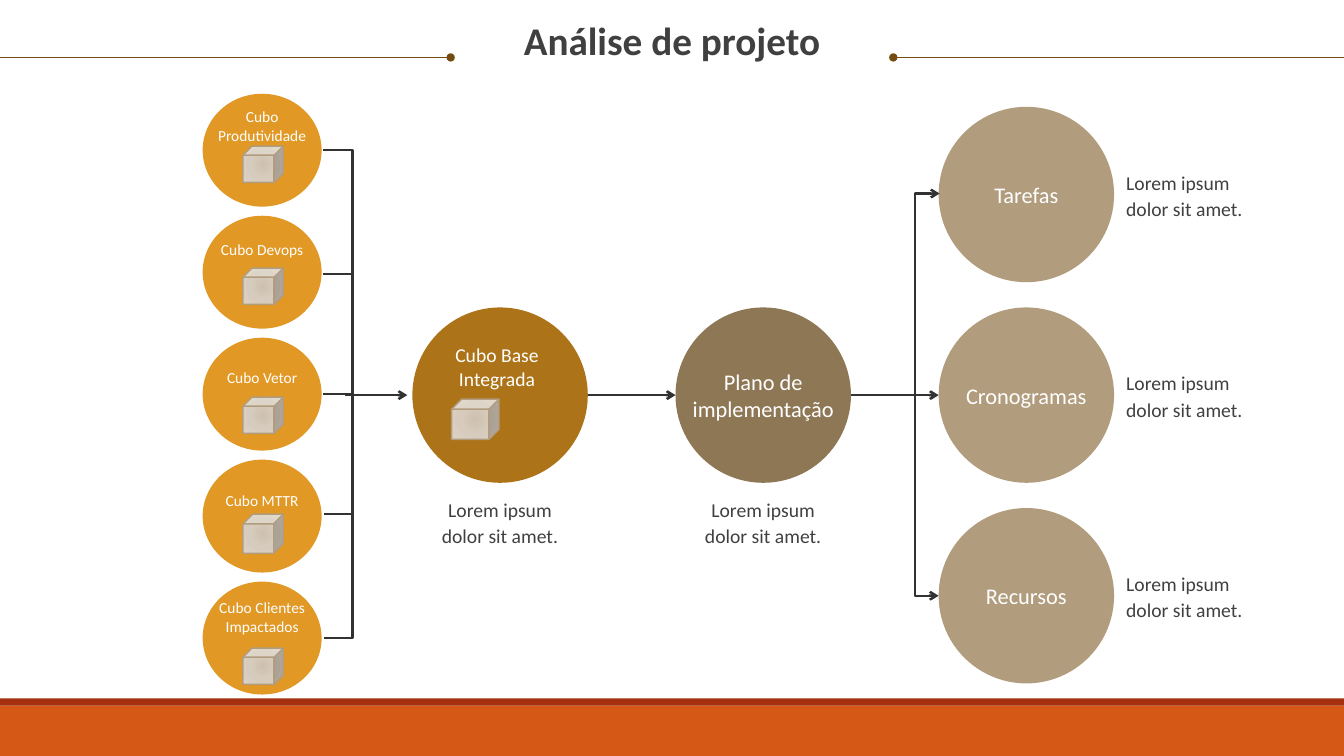
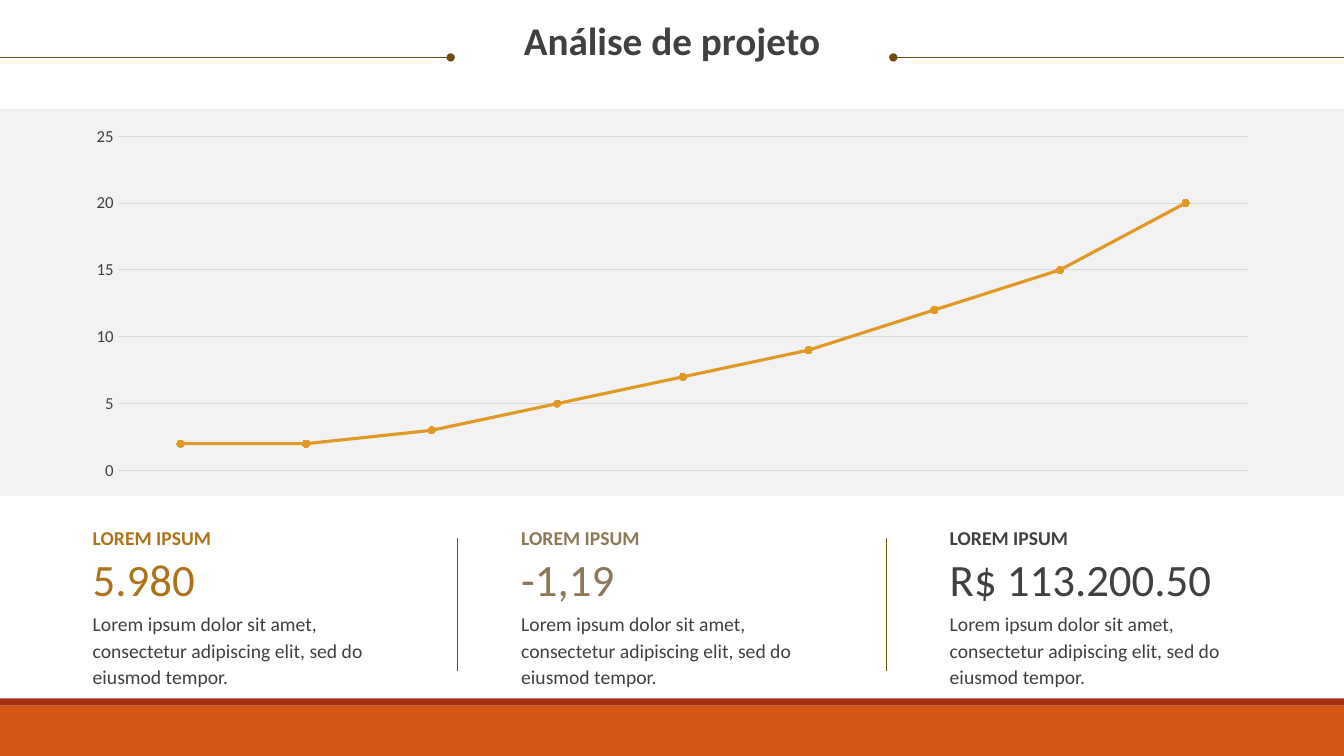
from dataclasses import dataclass

from lxml import etree
from pptx import Presentation
from pptx import util as u
from pptx.chart import data as chart_data
from pptx.dml.color import RGBColor
from pptx.enum import chart as chart_enum, shapes, text
from pptx.oxml import ns, parse_xml

FONT = "Calibri"
COLORS = {
    "band": "D55816", "stripe": "A5300F", "rule": "734D10", "ink": "404040",
    "flow": "323232", "white": "FFFFFF", "amber": "E19825", "ochre": "AD7318",
    "brown": "8E7755", "sand": "B19C7D", "panel": "F2F2F2", "grid": "D9D9D9",
}
CUBE_STOPS = {0: "CDC0AF", 45: "D6CBBC", 100: "DCD1C2"}
SLIDE_W, SLIDE_H = 13.33, 7.5
FLOW_Y = 3.92
BIG, SMALL_W, SMALL_H = 1.74, 1.18, 1.12
SHORT_NOTE = "Lorem ipsum dolor sit amet."
LONG_NOTE = "Lorem ipsum dolor sit amet, consectetur adipiscing elit, sed do eiusmod tempor."
GROWTH = [2, 2, 3, 5, 7, 9, 12, 15, 20]


@dataclass
class Source:
    label: str
    label_center: float
    cube_top: float
    cube_height: float = 0.36


@dataclass
class Link:
    start: tuple[float, float]
    end: tuple[float, float]
    bend: float | None = None
    head: str = ""
    tail: str = ""


@dataclass
class Metric:
    value: str
    color: str


SOURCES = [
    Source("Cubo Produtividade", 1.25, 1.45),
    Source("Cubo Devops", 2.47, 2.66),
    Source("Cubo Vetor", 3.74, 3.94),
    Source("Cubo MTTR", 4.96, 5.1, 0.39),
    Source("Cubo Clientes Impactados", 6.12, 6.43),
]
LINKS = [
    Link((3.2, 1.49), (3.21, 6.33), bend=3.5),
    Link((3.2, 3.91), (3.21, 5.1), bend=3.5),
    Link((3.2, 2.72), (3.21, 3.91), bend=3.5),
    Link((3.42, FLOW_Y), (4.04, FLOW_Y), tail="arrow"),
    Link((5.83, FLOW_Y), (6.7, FLOW_Y), tail="arrow"),
    Link((8.44, FLOW_Y), (9.31, FLOW_Y), tail="arrow"),
    Link((9.32, 1.92), (9.31, 5.91), bend=9.07, head="arrow", tail="arrow"),
]
OUTCOMES = ["Tarefas", "Cronogramas", "Recursos"]
METRICS = [Metric("5.980", "ochre"), Metric("-1,19", "brown"), Metric("R$ 113.200.50", "ink")]


def rgb(color: str) -> RGBColor:
    return RGBColor.from_string(COLORS[color])


def add_block(slide, kind, left: float, top: float, width: float, height: float, color: str):
    block = slide.shapes.add_shape(
        kind, u.Inches(left), u.Inches(top), u.Inches(width), u.Inches(height))
    block.shadow.inherit = False
    block.fill.solid()
    block.fill.fore_color.rgb = rgb(color)
    block.line.fill.background()
    return block


def add_words(slide, words: str, left: float, top: float, width: float, height: float,
              size: float, color: str, align=text.PP_ALIGN.LEFT,
              anchor=text.MSO_ANCHOR.TOP, bold: bool = False, spacing=None) -> None:
    box = slide.shapes.add_textbox(
        u.Inches(left), u.Inches(top), u.Inches(width), u.Inches(height))
    frame = box.text_frame
    frame.word_wrap = True
    frame.margin_left = frame.margin_right = frame.margin_top = frame.margin_bottom = 0
    frame.vertical_anchor = anchor
    frame.text = words
    paragraph = frame.paragraphs[0]
    paragraph.alignment = align
    paragraph.line_spacing = spacing
    font = paragraph.runs[0].font
    font.name, font.size, font.bold = FONT, u.Pt(size), bold
    font.color.rgb = rgb(color)


def add_label(slide, words: str, center_x: float, center_y: float, width: float,
              size: float, color: str = "white", spacing=None) -> None:
    """Text centred on a point."""
    height = 0.54
    add_words(slide, words, center_x - width / 2, center_y - height / 2, width, height,
              size, color, text.PP_ALIGN.CENTER, text.MSO_ANCHOR.MIDDLE, spacing=spacing)


def add_link(slide, link: Link, color: str, weight: float) -> None:
    """Line, or elbow whose middle leg stands at link.bend."""
    kind = shapes.MSO_CONNECTOR.STRAIGHT if link.bend is None else shapes.MSO_CONNECTOR.ELBOW
    (x1, y1), (x2, y2) = link.start, link.end
    connector = slide.shapes.add_connector(
        kind, u.Inches(x1), u.Inches(y1), u.Inches(x2), u.Inches(y2))
    connector.line.color.rgb = rgb(color)
    connector.line.width = u.Pt(weight)
    properties = connector._element.spPr
    outline = properties.find(ns.qn("a:ln"))
    for tag, ending in (("a:headEnd", link.head), ("a:tailEnd", link.tail)):
        if ending:
            etree.SubElement(outline, ns.qn(tag), type=ending)
    etree.SubElement(properties, ns.qn("a:effectLst"))
    if link.bend is not None:
        share = round((link.bend - x1) / (x2 - x1) * 100000)
        guides = properties.find(ns.qn("a:prstGeom")).find(ns.qn("a:avLst"))
        etree.SubElement(guides, ns.qn("a:gd"), name="adj1", fmla=f"val {share}")


def add_cube(slide, left: float, top: float, width: float, height: float) -> None:
    cube = add_block(slide, shapes.MSO_SHAPE.CUBE, left, top, width, height, "sand")
    cube.line.color.rgb = rgb("sand")
    cube.line.width = u.Pt(1)
    stops = "".join(f'<a:gs pos="{place * 1000}"><a:srgbClr val="{shade}"/></a:gs>'
                    for place, shade in CUBE_STOPS.items())
    gradient = parse_xml(
        f'<a:gradFill {ns.nsdecls("a")} rotWithShape="1"><a:gsLst>{stops}</a:gsLst>'
        '<a:path path="circle"><a:fillToRect l="100000" t="100000" r="100000" b="100000"/>'
        '</a:path></a:gradFill>')
    properties = cube._element.spPr
    properties.replace(properties.find(ns.qn("a:solidFill")), gradient)


def add_framed_slide(deck):
    """Blank slide with the bands, title and title rules."""
    slide = deck.slides.add_slide(deck.slide_layouts[6])
    add_block(slide, shapes.MSO_SHAPE.RECTANGLE, 0, 7, SLIDE_W, 0.5, "band")
    add_block(slide, shapes.MSO_SHAPE.RECTANGLE, 0, 6.93, SLIDE_W, 0.07, "stripe")
    add_link(slide, Link((0, 0.57), (4.47, 0.57), tail="oval"), "rule", 1)
    add_link(slide, Link((8.86, 0.57), (SLIDE_W, 0.57), head="oval"), "rule", 1)
    add_words(slide, "Análise de projeto", 0.25, 0.21, 12.83, 0.85, 28, "ink",
              text.PP_ALIGN.CENTER, bold=True, spacing=0.9)
    return slide


def build_flow(deck) -> None:
    slide = add_framed_slide(deck)
    oval = shapes.MSO_SHAPE.OVAL
    big_top = FLOW_Y - BIG / 2
    base_x, plan_x, outcome_x = (4.09 + 2.61 * column for column in range(3))
    for left, color in ((base_x, "ochre"), (plan_x, "brown")):
        add_block(slide, oval, left, big_top, BIG, BIG, color)
        add_label(slide, SHORT_NOTE, left + BIG / 2, 5.17, 1.47, 14, "ink", u.Pt(19))
    for row in range(len(SOURCES)):
        add_block(slide, oval, 2.01, 0.93 + 1.21 * row, SMALL_W, SMALL_H, "amber")
    for row in range(len(OUTCOMES)):
        add_block(slide, oval, outcome_x, big_top + 1.99 * (row - 1), BIG, BIG, "sand")
    for link in LINKS:
        add_link(slide, link, "flow", 1.75)

    for source in SOURCES:
        add_label(slide, source.label, 2.6, source.label_center, 1.02, 11)
        add_cube(slide, 2.41, source.cube_top, 0.4, source.cube_height)
    add_label(slide, "Cubo Base Integrada", 4.93, 3.64, 1.2, 14)
    add_cube(slide, 4.48, 3.96, 0.47, 0.4)
    add_label(slide, "Plano de implementação", plan_x + BIG / 2, FLOW_Y, 1.5, 16)
    for row, outcome in enumerate(OUTCOMES):
        center = FLOW_Y + 1.99 * (row - 1)
        add_label(slide, outcome, outcome_x + BIG / 2, center, 1.5, 16)
        add_words(slide, SHORT_NOTE, 11.17, center - 0.27, 1.47, 0.53, 14, "ink",
                  anchor=text.MSO_ANCHOR.MIDDLE, spacing=u.Pt(19))


def add_growth_chart(slide) -> None:
    growth = chart_data.CategoryChartData()
    growth.categories = [str(number) for number in range(1, len(GROWTH) + 1)]
    growth.add_series("Series 1", GROWTH)
    chart = slide.shapes.add_chart(
        chart_enum.XL_CHART_TYPE.LINE_MARKERS, u.Inches(0.72), u.Inches(1.18),
        u.Inches(11.9), u.Inches(3.66), growth).chart
    chart.has_legend = chart.has_title = False
    chart.font.name, chart.font.size = FONT, u.Pt(12)
    chart.font.color.rgb = rgb("ink")
    chart.category_axis.visible = False

    scale = chart.value_axis
    scale.minimum_scale, scale.maximum_scale, scale.major_unit = 0, 25, 5
    scale.major_tick_mark = chart_enum.XL_TICK_MARK.NONE
    scale.format.line.fill.background()
    scale.major_gridlines.format.line.color.rgb = rgb("grid")
    scale.major_gridlines.format.line.width = u.Pt(0.75)

    plot = chart.plots[0]
    plot.vary_by_categories = False
    curve = plot.series[0]
    curve.smooth = False
    curve.format.line.color.rgb = rgb("amber")
    curve.format.line.width = u.Pt(2.25)
    curve.marker.style = chart_enum.XL_MARKER_STYLE.CIRCLE
    curve.marker.size = 5
    curve.marker.format.fill.solid()
    curve.marker.format.fill.fore_color.rgb = rgb("amber")
    curve.marker.format.line.color.rgb = rgb("amber")


def build_metrics(deck) -> None:
    slide = add_framed_slide(deck)
    add_block(slide, shapes.MSO_SHAPE.RECTANGLE, 0, 1.08, SLIDE_W, 3.84, "panel")
    add_growth_chart(slide)
    for column, metric in enumerate(METRICS):
        left = 0.92 + 4.25 * column
        if column:
            divider = left - 0.63
            add_link(slide, Link((divider, 5.34), (divider, 6.66)), "rule", 1)
        add_words(slide, "LOREM IPSUM", left, 5.19, 3, 0.27, 14, metric.color,
                  bold=True, spacing=u.Pt(19))
        add_words(slide, metric.value, left, 5.47, 3, 0.54, 32, metric.color)
        add_words(slide, LONG_NOTE, left, 6.04, 3, 0.8, 14, "ink", spacing=u.Pt(19))


def main() -> None:
    deck = Presentation()
    deck.slide_width, deck.slide_height = u.Inches(SLIDE_W), u.Inches(SLIDE_H)
    build_flow(deck)
    build_metrics(deck)
    deck.save("out.pptx")


if __name__ == "__main__":
    main()
